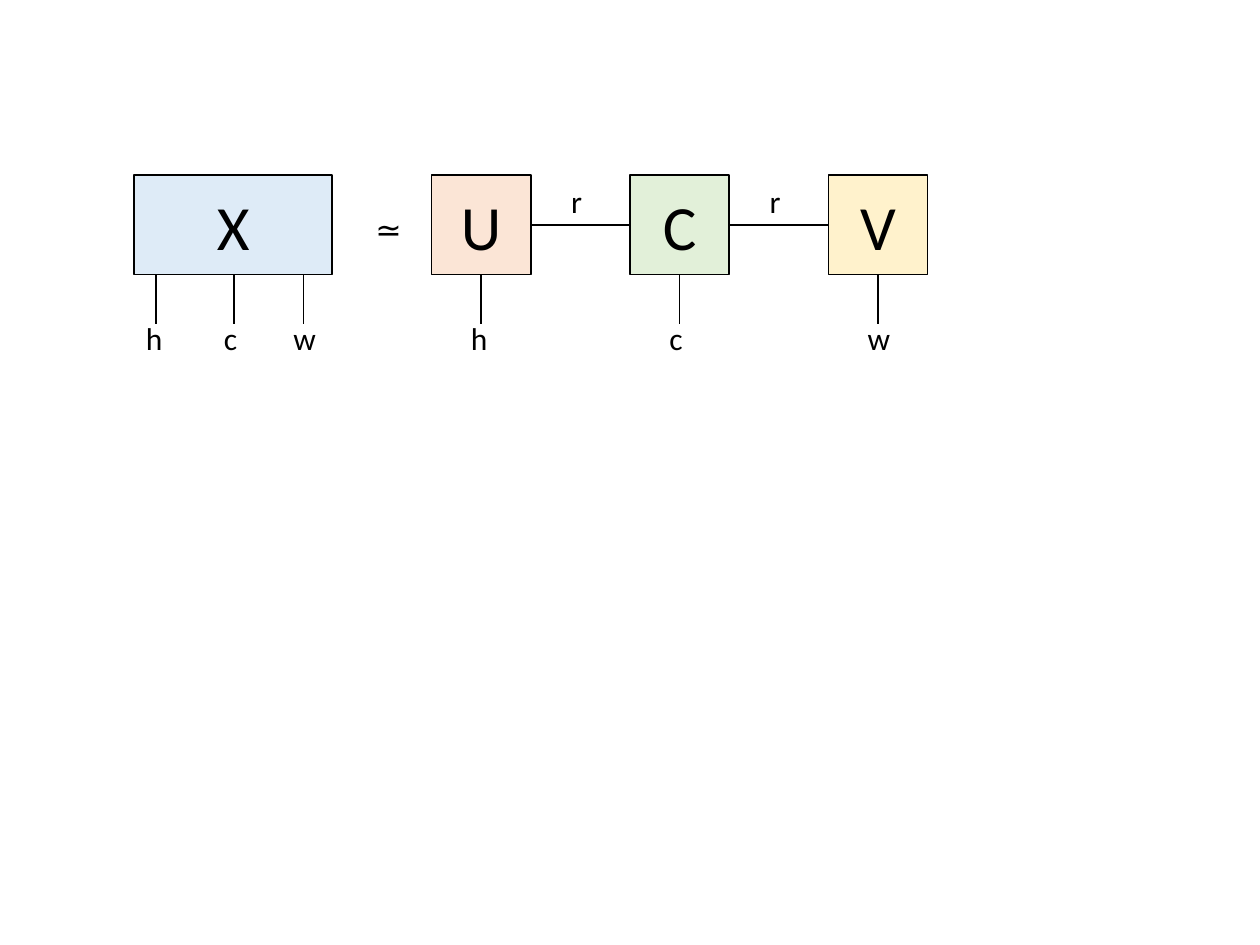
from dataclasses import dataclass

from pptx import Presentation
from pptx import util as u
from pptx.dml.color import RGBColor
from pptx.enum import shapes, text
from pptx.oxml.ns import qn
from lxml import etree


@dataclass(frozen=True)
class Theme:
    """Colours, font and type sizes of the diagram."""
    font: str = "Calibri"
    ink: str = "000000"
    blue: str = "DEEBF7"
    orange: str = "FBE5D6"
    green: str = "E2F0D9"
    yellow: str = "FFF2CC"
    tensor_size: float = 36
    label_size: float = 18
    line_width: float = 1


def write_text(frame, content, *, font, size, color, align, anchor, wrap):
    """Write one formatted paragraph into a text frame."""
    frame.word_wrap = wrap
    frame.vertical_anchor = anchor
    para = frame.paragraphs[0]
    para.alignment = align
    span = para.add_run()
    span.text = content
    span.font.name = font
    span.font.size = u.Pt(size)
    span.font.color.rgb = RGBColor.from_string(color)


class Diagram:
    """Draws tensor network parts on one page."""

    def __init__(self, page, theme):
        """Keep the page and its style."""
        self.page = page
        self.theme = theme

    def outline(self, line):
        """Apply the common line style."""
        line.color.rgb = RGBColor.from_string(self.theme.ink)
        line.width = u.Pt(self.theme.line_width)

    def tensor(self, name, left, top, width, height, fill):
        """Draw a filled box with its name in the centre."""
        box = self.page.shapes.add_shape(
            shapes.MSO_SHAPE.RECTANGLE,
            u.Pt(left), u.Pt(top), u.Pt(width), u.Pt(height))
        box.shadow.inherit = False
        box.fill.solid()
        box.fill.fore_color.rgb = RGBColor.from_string(fill)
        self.outline(box.line)
        write_text(box.text_frame, name, font=self.theme.font,
                   size=self.theme.tensor_size, color=self.theme.ink,
                   align=text.PP_ALIGN.CENTER,
                   anchor=text.MSO_ANCHOR.MIDDLE, wrap=True)

    def leg(self, x1, y1, x2, y2):
        """Draw a straight index line."""
        line = self.page.shapes.add_connector(
            shapes.MSO_CONNECTOR.STRAIGHT,
            u.Pt(x1), u.Pt(y1), u.Pt(x2), u.Pt(y2))
        self.outline(line.line)
        etree.SubElement(line._element.spPr, qn("a:effectLst"))

    def label(self, content, left, top, width):
        """Place a small text that fits its box."""
        box = self.page.shapes.add_textbox(
            u.Pt(left), u.Pt(top), u.Pt(width), u.Pt(LABEL_HEIGHT))
        write_text(box.text_frame, content, font=self.theme.font,
                   size=self.theme.label_size, color=self.theme.ink,
                   align=text.PP_ALIGN.LEFT,
                   anchor=text.MSO_ANCHOR.TOP, wrap=False)
        box.text_frame.auto_size = text.MSO_AUTO_SIZE.SHAPE_TO_FIT_TEXT

    def open_index(self, name, x):
        """Draw a leg below a tensor together with its label."""
        self.leg(x, BOTTOM, x, BOTTOM + UNIT / 2)
        self.label(name, x - 13, 178.6, LABEL_WIDTHS[name])


UNIT = 56.7
LEFT, TOP = 76.5, 100.2
BOTTOM = TOP + UNIT
LABEL_HEIGHT = 29.1
LABEL_WIDTHS = {"h": 24.5, "c": 22.3, "w": 27.4, "r": 20.9, "≃": 28}


def main():
    """Build the tensor decomposition slide."""
    deck = Presentation()
    deck.slide_width, deck.slide_height = u.Pt(720), u.Pt(540)
    theme = Theme()
    diagram = Diagram(deck.slides.add_slide(deck.slide_layouts[6]), theme)

    diagram.tensor("X", LEFT, TOP, 2 * UNIT, UNIT, theme.blue)
    for name, x in (("h", 89.3), ("c", 133.9), ("w", 173.5)):
        diagram.open_index(name, x)
    diagram.label("≃", 207.4, 116.6, LABEL_WIDTHS["≃"])

    factors = (("U", "h", theme.orange), ("C", "c", theme.green),
               ("V", "w", theme.yellow))
    for number, (name, index, fill) in enumerate(factors):
        left = LEFT + (3 + 2 * number) * UNIT
        diagram.tensor(name, left, TOP, UNIT, UNIT, fill)
        diagram.open_index(index, left + UNIT / 2)
        if number:
            middle = TOP + UNIT / 2
            diagram.leg(left, middle, left - UNIT, middle)
            diagram.label("r", left - UNIT + 16, TOP, LABEL_WIDTHS["r"])

    deck.save("out.pptx")


main()
